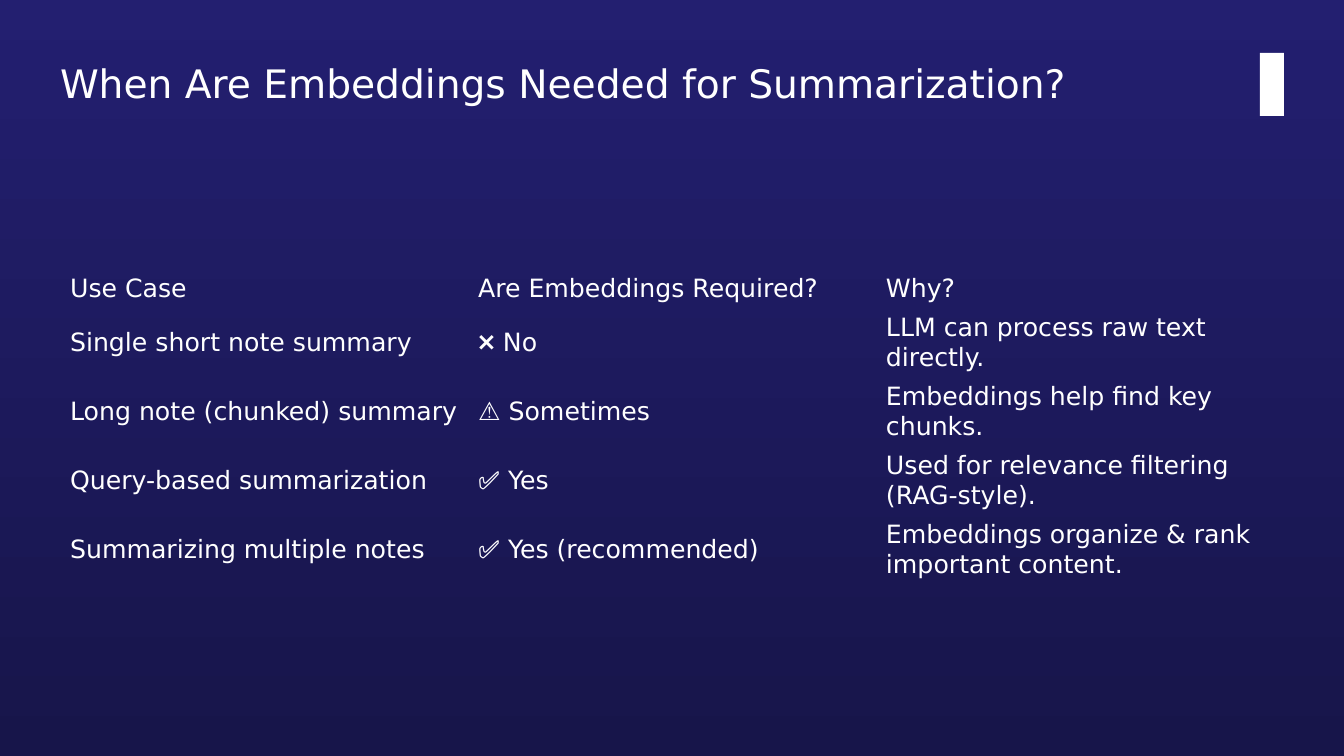
import pptx
import pptx.dml.color
import pptx.enum.shapes
import pptx.enum.text
import pptx.oxml.ns
import pptx.util

RGBColor = pptx.dml.color.RGBColor
WHITE = RGBColor(0xFF, 0xFF, 0xFF)
INDIGO = RGBColor(0x23, 0x1F, 0x70)
NAVY = RGBColor(0x17, 0x15, 0x4A)
FONT = "DejaVu Sans"

PAGE_WIDTH, PAGE_HEIGHT = 1344, 756
EMU_PER_PX = 12192000 / PAGE_WIDTH
PLAIN_TABLE_STYLE = "{2D5ABB26-0587-4C30-8999-92F81FD0307C}"

COLUMN_WIDTH, HEADER_HEIGHT, ROW_HEIGHT = 408, 39, 69
USE_CASES = [
    ("Use Case", "Are Embeddings Required?", "Why?"),
    ("Single short note summary", "❌ No", "LLM can process raw text directly."),
    ("Long note (chunked) summary", "⚠️ Sometimes", "Embeddings help find key chunks."),
    ("Query-based summarization", "✅ Yes", "Used for relevance filtering (RAG-style)."),
    ("Summarizing multiple notes", "✅ Yes (recommended)",
     "Embeddings organize & rank important content."),
]


def px(length):
    return pptx.util.Emu(round(length * EMU_PER_PX))


def write(para, text, size):
    para.alignment = pptx.enum.text.PP_ALIGN.LEFT
    span = para.add_run()
    span.text = text
    span.font.name = FONT
    span.font.size = pptx.util.Pt(size)
    span.font.color.rgb = WHITE


def paint_background(page):
    fill = page.background.fill
    fill.gradient()
    fill.gradient_angle = 270
    for stop, position, color in zip(fill.gradient_stops, (0, 1), (INDIGO, NAVY)):
        stop.position = position
        stop.color.rgb = color


def set_title(page, text, left, top, width, height):
    title = page.shapes.title
    title.left, title.top, title.width, title.height = map(px, (left, top, width, height))
    frame = title.text_frame
    frame.margin_left = frame.margin_top = frame.margin_right = frame.margin_bottom = 0
    frame.vertical_anchor = pptx.enum.text.MSO_ANCHOR.MIDDLE
    write(frame.paragraphs[0], text, 28)


def add_emblem(page, left, top, width, height):
    emblem = page.shapes.add_shape(
        pptx.enum.shapes.MSO_SHAPE.RECTANGLE, *map(px, (left, top, width, height)))
    emblem.shadow.inherit = False
    emblem.fill.solid()
    emblem.fill.fore_color.rgb = WHITE
    emblem.line.fill.background()


def add_plain_table(page, rows, left, top):
    """Add a table without borders or fills, with a shorter header row."""
    heights = [HEADER_HEIGHT] + [ROW_HEIGHT] * (len(rows) - 1)
    columns = len(rows[0])
    table = page.shapes.add_table(
        len(rows), columns, px(left), px(top),
        px(COLUMN_WIDTH * columns), px(sum(heights))).table
    table.first_row = table.horz_banding = False
    style = table._tbl.tblPr.find(pptx.oxml.ns.qn("a:tableStyleId"))
    style.text = PLAIN_TABLE_STYLE
    for column in table.columns:
        column.width = px(COLUMN_WIDTH)
    for row, height, texts in zip(table.rows, heights, rows):
        row.height = px(height)
        for cell, text in zip(row.cells, texts):
            cell.fill.background()
            cell.vertical_anchor = pptx.enum.text.MSO_ANCHOR.MIDDLE
            write(cell.text_frame.paragraphs[0], text, 18)


def main():
    deck = pptx.Presentation()
    deck.slide_width, deck.slide_height = px(PAGE_WIDTH), px(PAGE_HEIGHT)
    page = deck.slides.add_slide(deck.slide_layouts.get_by_name("Title Only"))
    paint_background(page)
    add_emblem(page, 1260, 53, 24, 63)
    add_plain_table(page, USE_CASES, 60, 269)
    set_title(page, "When Are Embeddings Needed for Summarization?", 60, 40, 1157, 86)
    deck.save("out.pptx")


if __name__ == "__main__":
    main()
